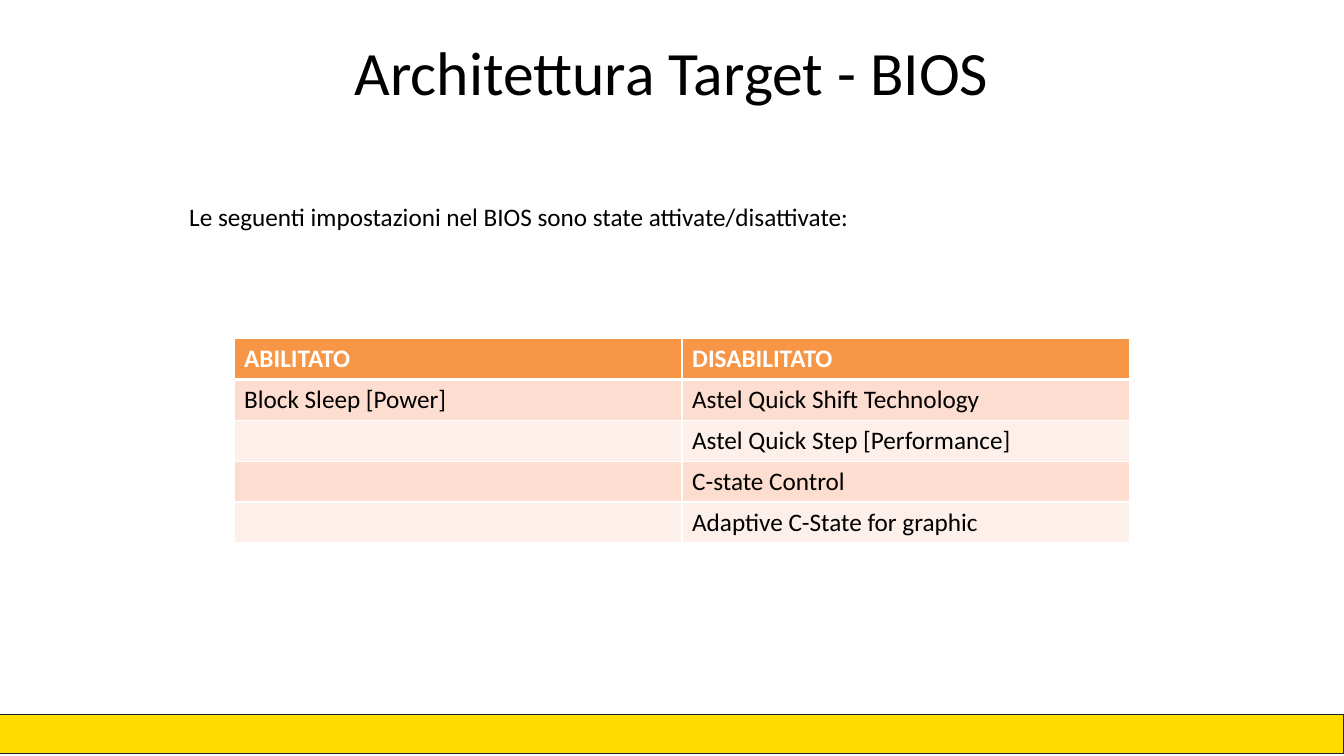
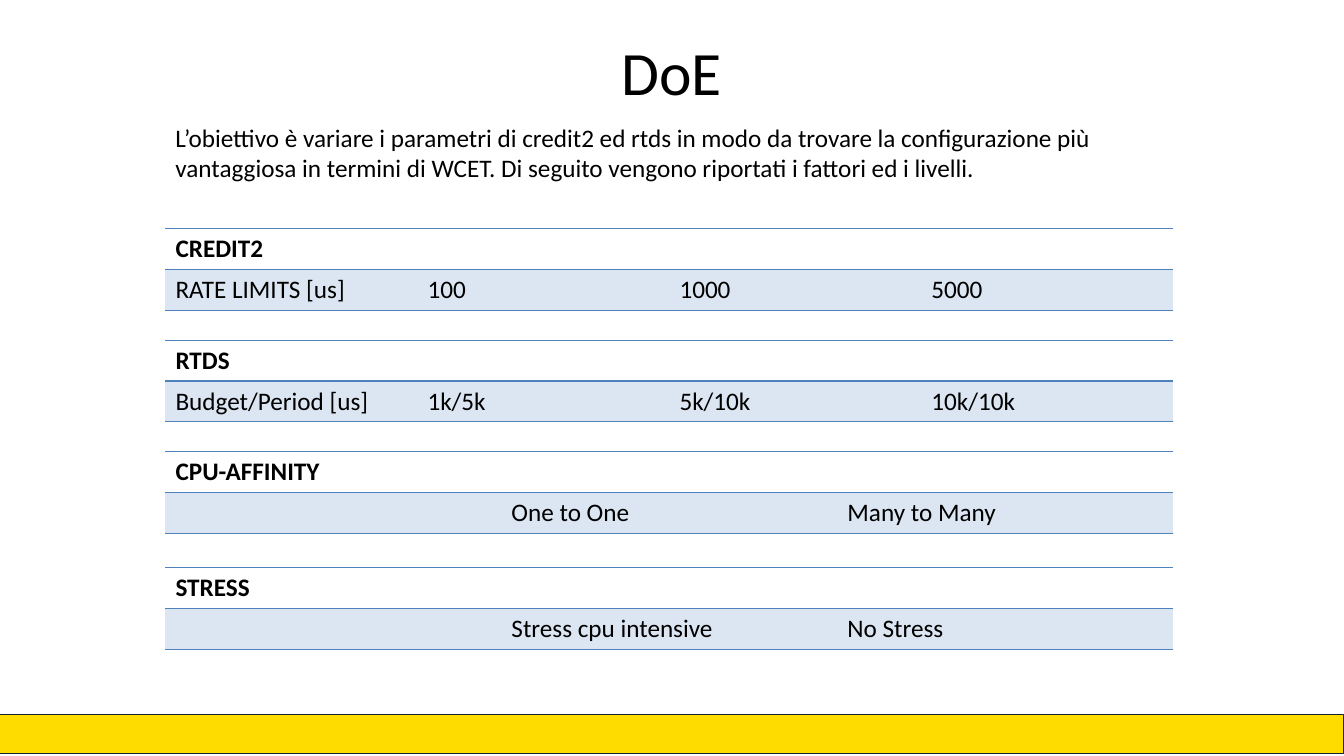
from lxml import etree
from pptx import Presentation
from pptx.dml.color import RGBColor
from pptx.enum.shapes import MSO_SHAPE
from pptx.enum.text import MSO_ANCHOR, PP_ALIGN
from pptx.oxml.ns import qn
from pptx.util import Cm, Pt

RECTANGLE = MSO_SHAPE.RECTANGLE
MIDDLE = MSO_ANCHOR.MIDDLE
LEFT, CENTER = PP_ALIGN.LEFT, PP_ALIGN.CENTER

FONT = "Calibri"
BLACK, WHITE = "000000", "FFFFFF"
YELLOW, NAVY = "FFDC00", "162230"
ORANGE, PEACH, PALE_PEACH = "F79646", "FCDDCF", "FDEFE9"
BLUE, PALE_BLUE = "4F81BD", "DCE6F2"
PLAIN_TABLE_STYLE = "{2D5ABB26-0587-4C30-8999-92F81FD0307C}"
SLIDE_WIDTH = 33.87
ROW_HEIGHT = 1.03


def color(hex_value):
    return RGBColor.from_string(hex_value)


def style_paragraph(paragraph, size=18, text_color=BLACK, bold=False, align=LEFT):
    paragraph.alignment = align
    font = paragraph.font
    font.name, font.size, font.bold = FONT, Pt(size), bold
    font.color.rgb = color(text_color)


presentation = Presentation()
presentation.slide_width = Cm(SLIDE_WIDTH)
presentation.slide_height = Cm(19.05)

# Content: text boxes are left, top, width, height
slides = [
    {
        "title": "Architettura Target - BIOS",
        "intro": "Le seguenti impostazioni nel BIOS sono state attivate/disattivate:",
        "intro_box": (4.52, 4.95, 26.8, 1.02),
        "table_left": 5.9,
        "table_width": 22.58,
        "header": (WHITE, ORANGE),
        "bands": (PEACH, PALE_PEACH),
        "borders": {"lnL": WHITE, "lnR": WHITE, "lnT": WHITE, "lnB": WHITE},
        "header_bottom": 3,
        "tables": [
            (8.53, [
                ["ABILITATO", "DISABILITATO"],
                ["Block Sleep [Power]", "Astel Quick Shift Technology"],
                ["", "Astel Quick Step [Performance]"],
                ["", "C-state Control"],
                ["", "Adaptive C-State for graphic"],
            ]),
        ],
    },
    {
        "title": "DoE",
        "intro": "L’obiettivo è variare i parametri di credit2 ed rtds in modo da trovare "
                 "la configurazione più vantaggiosa in termini di WCET. Di seguito "
                 "vengono riportati i fattori ed i livelli.",
        "intro_box": (4.17, 2.95, 25.4, 1.8),
        "table_left": 4.17,
        "table_width": 25.4,
        "header": (BLACK, None),
        "bands": (PALE_BLUE,),
        "borders": {"lnT": BLUE, "lnB": BLUE},
        "header_bottom": 1,
        "tables": [
            (5.76, [["CREDIT2", "", "", ""],
                    ["RATE LIMITS [us]", "100", "1000", "5000"]]),
            (8.57, [["RTDS", "", "", ""],
                    ["Budget/Period [us]", "1k/5k", "5k/10k", "10k/10k"]]),
            (11.38, [["CPU-AFFINITY", "", ""],
                     ["", "One to One", "Many to Many"]]),
            (14.3, [["STRESS", "", ""],
                    ["", "Stress cpu intensive", "No Stress"]]),
        ],
    },
]

for content in slides:
    slide = presentation.slides.add_slide(presentation.slide_layouts[6])

    # Footer band
    band = slide.shapes.add_shape(RECTANGLE, 0, Cm(18), Cm(SLIDE_WIDTH), Cm(1))
    band.shadow.inherit = False
    band.fill.solid()
    band.fill.fore_color.rgb = color(YELLOW)
    band.line.color.rgb = color(NAVY)
    band.line.width = Pt(0.75)

    # Title and introduction
    for text, box, size, align in [
        (content["title"], (2.54, 0.72, 28.78, 2.13), 44, CENTER),
        (content["intro"], content["intro_box"], 18, LEFT),
    ]:
        frame = slide.shapes.add_textbox(*map(Cm, box)).text_frame
        frame.word_wrap = True
        frame.vertical_anchor = MIDDLE
        frame.text = text
        style_paragraph(frame.paragraphs[0], size, align=align)

    # Tables
    header_color, header_fill = content["header"]
    for top, rows in content["tables"]:
        column_count = len(rows[0])
        table = slide.shapes.add_table(
            len(rows), column_count, Cm(content["table_left"]), Cm(top),
            Cm(content["table_width"]), Cm(ROW_HEIGHT * len(rows))).table
        table.horz_banding = False
        table._tbl.tblPr.find(qn("a:tableStyleId")).text = PLAIN_TABLE_STYLE

        for row_index, row in enumerate(rows):
            is_header = row_index == 0
            bands = content["bands"]
            fill = header_fill if is_header else bands[(row_index - 1) % len(bands)]
            for column_index, text in enumerate(row):
                cell = table.cell(row_index, column_index)
                cell.text = text
                style_paragraph(cell.text_frame.paragraphs[0], bold=is_header,
                                text_color=header_color if is_header else BLACK)

                # Borders come before the fill in the cell properties
                properties = cell._tc.get_or_add_tcPr()
                for side, line_color in content["borders"].items():
                    touches_header = (row_index, side) in [(0, "lnB"), (1, "lnT")]
                    points = content["header_bottom"] if touches_header else 1
                    line = etree.SubElement(properties, qn("a:" + side), w=str(Pt(points)))
                    solid = etree.SubElement(line, qn("a:solidFill"))
                    etree.SubElement(solid, qn("a:srgbClr"), val=line_color)

                if fill:
                    cell.fill.solid()
                    cell.fill.fore_color.rgb = color(fill)
                else:
                    cell.fill.background()

presentation.save("out.pptx")
